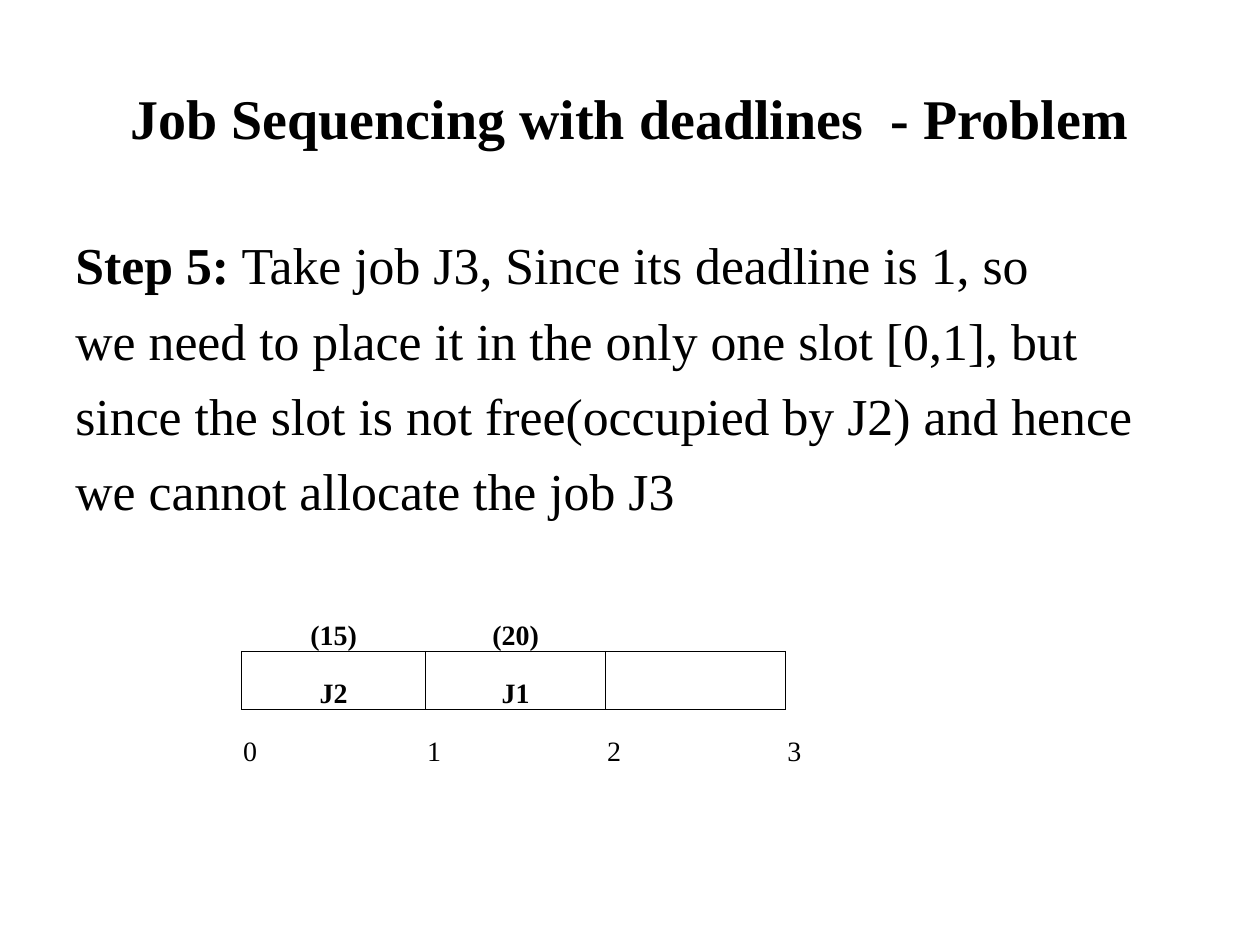
from lxml.etree import SubElement as Sub
from pptx import Presentation as Deck
from pptx.dml.color import RGBColor as Rgb
from pptx.enum.text import MSO_ANCHOR as Anchor, PP_ALIGN as Align
from pptx.oxml.ns import qn
from pptx.util import Cm, Pt

BLACK = "000000"
SIDES = {"L": (0, -1), "R": (0, 1), "T": (-1, 0), "B": (1, 0)}


def color(code):
    return Rgb.from_string(code)


class Page:
    face = "Times New Roman"

    def __init__(self, slide):
        self.slide = slide

    def style(self, run, size, bold=False):
        font = run.font
        font.name, font.size, font.bold = self.face, Pt(size), bold
        font.color.rgb = color(BLACK)

    def box(self, left, top, width, height, inset=0.13):
        shape = self.slide.shapes.add_textbox(
            Cm(left), Cm(top), Cm(width), Cm(height))
        frame = shape.text_frame
        frame.word_wrap = True
        frame.margin_top = Cm(inset)
        return frame

    def title(self, text, place):
        frame = self.box(*place)
        frame.text = text
        frame.vertical_anchor = Anchor.MIDDLE
        line = frame.paragraphs[0]
        line.alignment = Align.CENTER
        self.style(line.runs[0], 32, True)

    def body(self, label, lines, place):
        frame = self.box(*place, inset=0.25)
        frame.text = "\n".join(lines)
        first = frame.paragraphs[0]
        first.text = label
        first.add_run().text = lines[0]
        for line in frame.paragraphs:
            props = line._p.get_or_add_pPr()
            props.set("marL", str(Cm(0.95)))
            props.set("indent", str(-Cm(0.95)))
            if line is not first:
                line.space_before = Pt(7.5)
            for run in line.runs:
                self.style(run, 29.6, run.text == label)

    def edge(self, cell, side, drawn):
        line = Sub(cell._tc.get_or_add_tcPr(), qn(f"a:ln{side}"))
        if drawn:
            line.set("w", str(Pt(0.5)))
            fill = Sub(line, qn("a:solidFill"))
            Sub(fill, qn("a:srgbClr")).set("val", BLACK)
        else:
            Sub(line, qn("a:noFill"))

    def table(self, rows, widths, height, left, top, boxed):
        grid = self.slide.shapes.add_table(
            len(rows), len(widths), Cm(left), Cm(top),
            Cm(sum(widths)), Cm(height * len(rows))).table
        grid.first_row = grid.horz_banding = False
        for col, width in zip(grid.columns, widths):
            col.width = Cm(width)
        for r, row in enumerate(rows):
            for c, text in enumerate(row):
                cell = grid.cell(r, c)
                for side, (down, right) in SIDES.items():
                    near = (r + down, c + right)
                    self.edge(cell, side, (r, c) in boxed or near in boxed)
                cell.fill.background()
                self.fill(cell, text, r < len(rows) - 1)

    def fill(self, cell, text, strong):
        cell.margin_left = cell.margin_right = cell.margin_top = Cm(0.03)
        cell.margin_bottom = 0
        cell.vertical_anchor = Anchor.BOTTOM
        cell.text_frame.text = text
        line = cell.text_frame.paragraphs[0]
        line.alignment = Align.CENTER if strong else Align.LEFT
        self.style(line, 16, strong)


def main():
    deck = Deck()
    deck.slide_width, deck.slide_height = Cm(25.4), Cm(19.05)
    page = Page(deck.slides.add_slide(deck.slide_layouts[6]))
    page.title("Job Sequencing with deadlines  - Problem",
               (1.27, 0.76, 22.86, 3.18))
    page.body("Step 5:", [
        " Take job J3, Since its deadline is 1, so",
        "we need to place it in the only one slot [0,1], but",
        "since the slot is not free(occupied by J2) and hence",
        "we cannot allocate the job J3",
    ], (1.27, 4.45, 22.86, 6.55))
    rows = [["(15)", "(20)", "", ""],
            ["J2", "J1", "", ""],
            ["0", "1", "2", "3"]]
    slots = {(1, c) for c in range(3)}
    page.table(rows, [3.71] + [3.63] * 3, 1.17, 4.87, 11.96, slots)
    deck.save("out.pptx")


if __name__ == "__main__":
    main()
